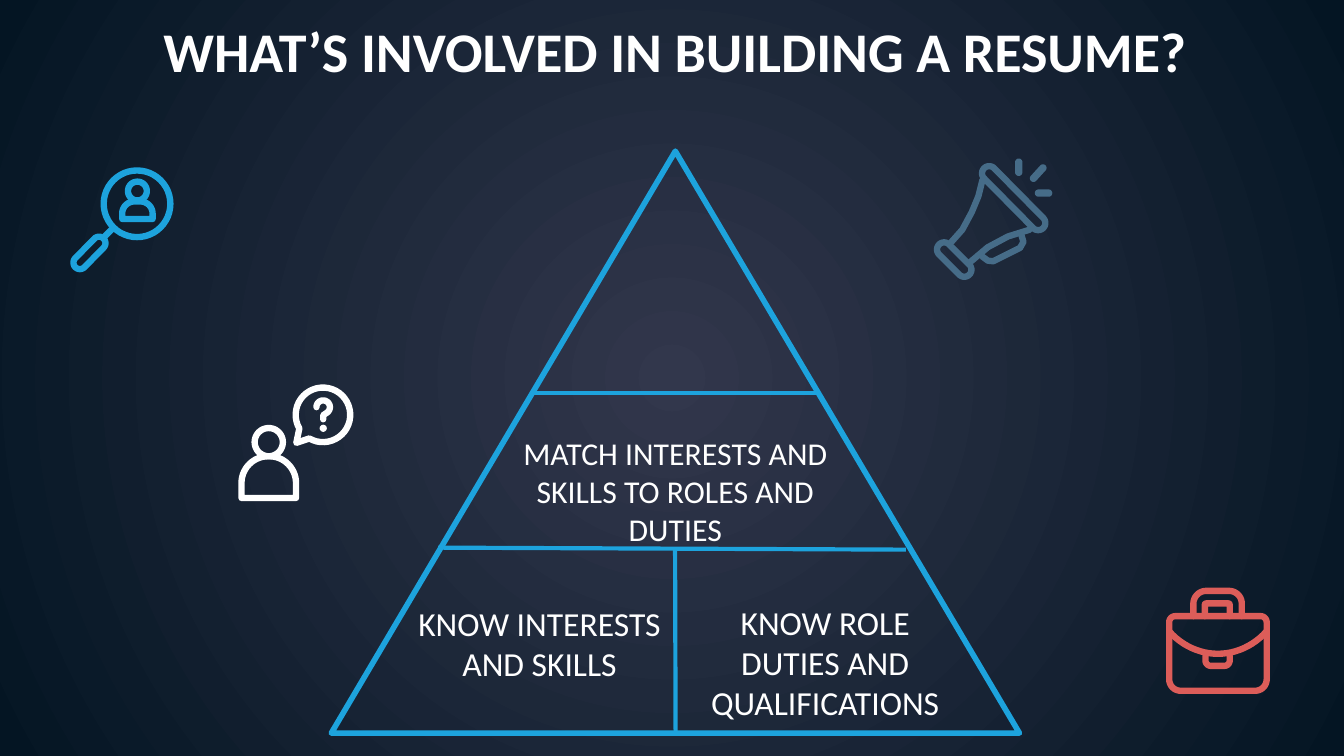
from math import atan2, cos, degrees, radians, sin

from lxml.etree import SubElement
from pptx import Presentation
from pptx.dml.color import RGBColor
from pptx.enum.shapes import MSO_CONNECTOR as Connector, MSO_SHAPE as Shape
from pptx.enum.text import MSO_ANCHOR as Anchor, MSO_AUTO_SIZE as AutoSize, PP_ALIGN as Align
from pptx.oxml.ns import qn
from pptx.util import Inches, Pt

COLS, ROWS = 100, 56.25
FONT = "Calibri"
WHITE = RGBColor(0xFF, 0xFF, 0xFF)
BLUE = RGBColor(0x1D, 0xA3, 0xDD)
RED = RGBColor(0xDC, 0x5D, 0x59)
STEEL = RGBColor(0x46, 0x6C, 0x88)
GLOW = RGBColor(0x32, 0x37, 0x4C)
NIGHT = RGBColor(0x04, 0x15, 0x23)


def cell(n):
    return Inches(n / 10)


def cells(*values):
    return [cell(v) for v in values]


def set_background(s):
    fill = s.background.fill
    fill.gradient()
    for stop, color, position in zip(fill.gradient_stops, (GLOW, NIGHT), (0, 1)):
        stop.color.rgb = color
        stop.position = position
    lin = next(s.element.iter(qn("a:lin")))
    grad = lin.getparent()
    grad.remove(lin)
    circle = SubElement(grad, qn("a:path"), path="circle")
    SubElement(circle, qn("a:fillToRect"), l="50000", t="50000", r="50000", b="50000")


def outline(sp, color, width, cap="flat"):
    sp.shadow.inherit = False
    sp.fill.background()
    sp.line.color.rgb = color
    sp.line.width = Pt(width)
    ln = sp.line._get_or_add_ln()
    ln.set("cap", cap)
    SubElement(ln, qn("a:round"))


def fill_plain(sp, color):
    sp.shadow.inherit = False
    sp.fill.solid()
    sp.fill.fore_color.rgb = color
    sp.line.fill.background()


def add_line(shapes, start, end, color, width):
    line = shapes.add_connector(Connector.STRAIGHT, *cells(*start, *end))
    line.line.color.rgb = color
    line.line.width = Pt(width)
    SubElement(line.element.spPr, qn("a:effectLst"))


def add_outlines(shapes, *contours):
    builder = None
    for points, close in contours:
        first, *rest = [cells(*p) for p in points]
        if builder is None:
            builder = shapes.build_freeform(*first)
        else:
            builder.move_to(*first)
        builder.add_line_segments(rest, close=close)
    return builder.convert_to_shape()


def add_icon(shapes, color, *contours):
    outline(add_outlines(shapes, *contours), color, 3.4, "rnd")


def arc(x, y, rx, ry, start, end, steps=24):
    angles = [radians(start + (end - start) * i / steps) for i in range(steps + 1)]
    return [(x + rx * cos(a), y + ry * sin(a)) for a in angles]


def opened(*points):
    return points, False


def closed(*points):
    return points, True


def circle(x, y, r):
    return closed(*arc(x, y, r, r, 0, 360, 48))


def capsule(start, end, r):
    (x1, y1), (x2, y2) = start, end
    turn = degrees(atan2(y2 - y1, x2 - x1))
    return closed(*arc(x1, y1, r, r, turn + 90, turn + 270),
                  *arc(x2, y2, r, r, turn - 90, turn + 90))


def arch(left, right, top, bottom, r):
    return [(left, bottom), *arc(left + r, top + r, r, r, 180, 270),
            *arc(right - r, top + r, r, r, 270, 360), (right, bottom)]


def person(x, head_y, head_r, half, top, bottom, shoulder):
    return (circle(x, head_y, head_r),
            closed(*arch(x - half, x + half, top, bottom, shoulder)))


def draw_search(s):
    shapes = s.shapes.add_group_shape().shapes
    add_icon(shapes, BLUE, circle(10.2, 15.17, 2.48),
             capsule((7.37, 18.1), (5.95, 19.55), 0.48), opened((7.8, 17.6), (8.4, 17)))
    add_icon(shapes, BLUE, *person(10.23, 14.22, 0.7, 1.13, 15, 16.3, 0.9))


def draw_question(s):
    shapes = s.shapes.add_group_shape().shapes
    hook = arc(24.05, 30.3, 0.5, 0.5, 180, 420) + [(24.05, 30.9), (24.05, 31.2)]
    add_icon(shapes, WHITE, opened(*hook))
    add_icon(shapes, WHITE, *person(20, 32.9, 1.05, 2.03, 33.95, 37.05, 2))
    add_icon(shapes, WHITE, closed(*arc(24.03, 30.87, 2.03, 2.03, 150, 480, 40), (22.05, 32.95)))
    dot = shapes.add_shape(Shape.OVAL, *cells(23.78, 31.6, 0.54, 0.54))
    fill_plain(dot, WHITE)


def draw_megaphone(s):
    shapes = s.shapes.add_group_shape().shapes
    add_icon(
        shapes, STEEL,
        capsule((73.6, 12.9), (77.25, 16.6), 0.53),
        capsule((70.25, 18.57), (71.75, 20.07), 0.53),
        opened((73.1, 13.4), (72.8, 14.6), (72.3, 15.8), (71.6, 17.1), (70.8, 18)),
        opened((76.6, 17.1), (75, 17.6), (73.5, 18.4), (72.2, 19.5)),
        opened((76, 17.5), (76.15, 18), (75.9, 18.45), (73.9, 19.45), (73.5, 19.4), (73.1, 19.1)))
    for start, end in (((76.9, 13.27), (77.6, 12.5)), ((75.8, 12.07), (75.8, 12.83)),
                       ((77.27, 14.37), (78.03, 14.37))):
        fill_plain(add_outlines(shapes, capsule(start, end, 0.27)), STEEL)


def draw_briefcase(s):
    left, right, top, bottom, r = 87, 94.25, 45.85, 51.4, 0.85
    add_icon(
        s.shapes, RED,
        closed(*arch(left, right, top, bottom - r, 0.45),
               *arc(right - r, bottom - r, r, r, 0, 90), *arc(left + r, bottom - r, r, r, 90, 180)),
        opened(*arch(88.8, 92.4, 43.97, top, 0.95)),
        opened(*arch(89.65, 91.5, 44.9, top, 0.1)),
        opened(*arc(90.62, 43, 5.1, 5.65, 135, 45)),
        opened((89.7, 48.8), *arc(90.1, 49.15, 0.4, 0.4, 180, 90),
               *arc(91.1, 49.15, 0.4, 0.4, 90, 0), (91.5, 48.8)))


def write(sp, text, size, bold=False, top=1):
    tf = sp.text_frame
    tf.word_wrap = True
    tf.auto_size = AutoSize.NONE
    tf.vertical_anchor = Anchor.TOP
    tf.margin_left = tf.margin_right = tf.margin_bottom = cell(1)
    tf.margin_top = cell(top)
    p = tf.paragraphs[0]
    p.alignment = Align.CENTER
    r = p.add_run()
    r.text = text
    r.font.name, r.font.size, r.font.bold = FONT, Pt(size), bold
    r.font.color.rgb = WHITE


def add_title(s, text):
    title = s.shapes.title
    title.left, title.top, title.width, title.height = cells(0.25, 0.25, COLS, 9.9)
    write(title, text, 30, bold=True)


def add_label(s, box, text, size, top=1):
    write(s.shapes.add_textbox(*cells(*box)), text, size, top=top)


def draw_pyramid(s):
    pyramid = s.shapes.add_shape(Shape.FLOWCHART_EXTRACT, *cells(24.65, 11.25, 51.2, 43.3))
    outline(pyramid, BLUE, 3)
    for start, end in (((39.7, 29.25), (60.8, 29.25)), ((32.6, 40.75), (67.4, 40.9)),
                       ((50.27, 54.5), (50.23, 40.8))):
        add_line(s.shapes, start, end, BLUE, 2.25)


def main():
    prs = Presentation()
    prs.slide_width, prs.slide_height = cells(COLS, ROWS)
    s = prs.slides.add_slide(prs.slide_layouts[5])
    set_background(s)
    add_title(s, "WHAT’S INVOLVED IN BUILDING A RESUME?")
    draw_pyramid(s)
    draw_search(s)
    draw_briefcase(s)
    draw_question(s)
    draw_megaphone(s)
    add_label(s, (37.4, 31.3, 25.7, 12), "MATCH INTERESTS AND SKILLS TO ROLES AND DUTIES", 17)
    add_label(s, (50.25, 40.75, 22.3, 13.8), "KNOW ROLE DUTIES AND QUALIFICATIONS", 18, top=4)
    add_label(s, (30, 40.85, 20.3, 13.8), "KNOW INTERESTS AND SKILLS", 18, top=4)
    prs.save("out.pptx")


if __name__ == "__main__":
    main()
